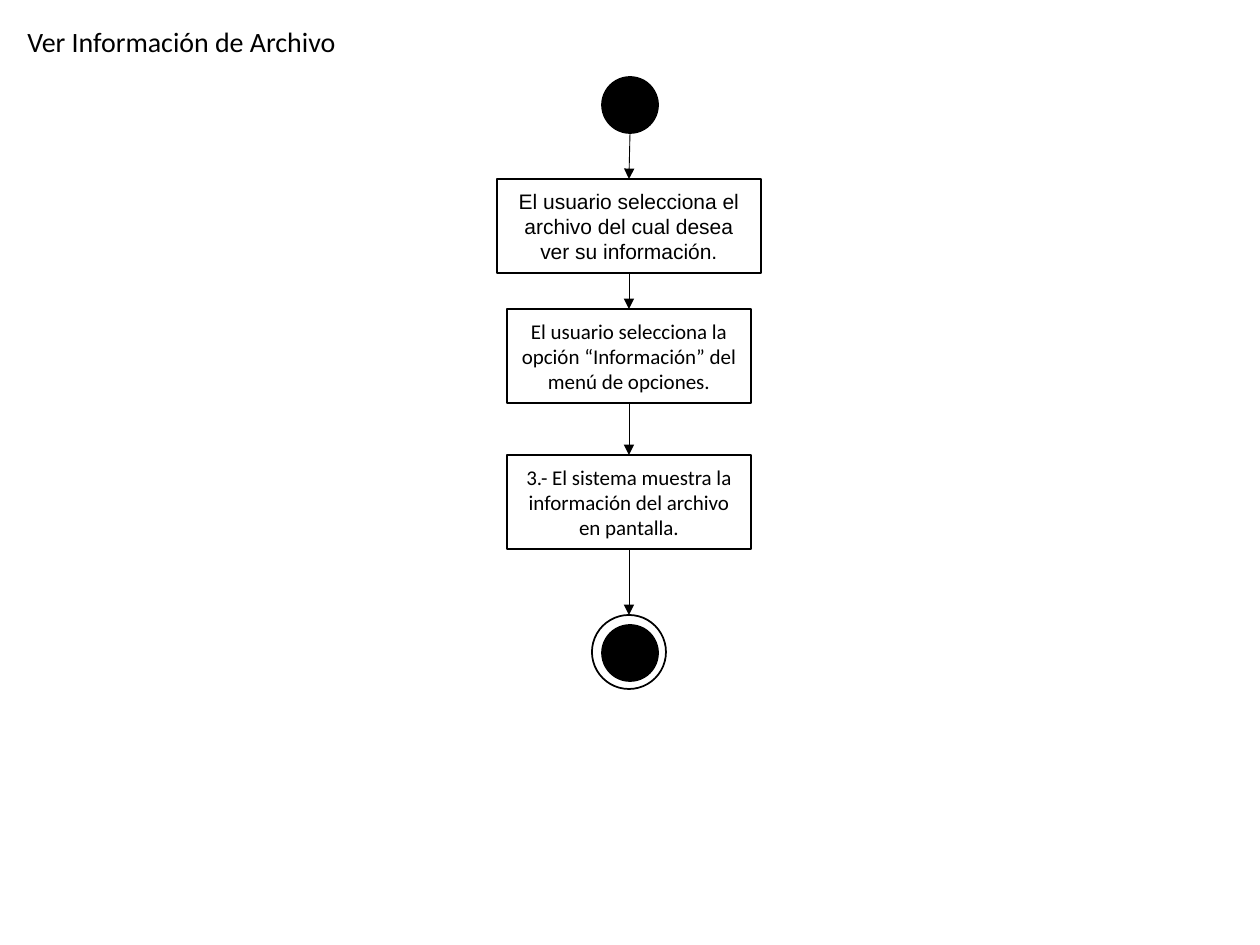
import pptx
import pptx.util
import pptx.dml.color
import pptx.enum.shapes
import pptx.enum.text
import pptx.oxml
import pptx.oxml.ns
from dataclasses import dataclass

SHAPE = pptx.enum.shapes.MSO_SHAPE
ALIGN = pptx.enum.text.PP_ALIGN
ANCHOR = pptx.enum.text.MSO_ANCHOR
FIT = pptx.enum.text.MSO_AUTO_SIZE
SCALE = 914400 / 126


@dataclass
class Theme:
    ink: str = "000000"
    paper: str = "FFFFFF"
    font: str = "Calibri"
    head: int = 16
    body: int = 12
    edge: float = 1
    link: float = 0.5


def emu(*px):
    return [pptx.util.Emu(round(n * SCALE)) for n in px]


def rgb(code):
    return pptx.dml.color.RGBColor.from_string(code)


def dress(item, style):
    for name, value in style.items():
        setattr(item, name, value)


def node(tag, extra=""):
    return pptx.oxml.parse_xml(
        f'<a:{tag} {pptx.oxml.ns.nsdecls("a")} {extra}/>')


class Flow:
    def __init__(self, slide, theme):
        self.slide = slide
        self.theme = theme

    def stroke(self, item, width):
        item.line.color.rgb = rgb(self.theme.ink)
        item.line.width = pptx.util.Pt(width)

    def label(self, shape, text, size, font, align):
        para = shape.text_frame.paragraphs[0]
        para.alignment = align
        run = para.add_run()
        run.text = text
        dress(run.font, {"name": font, "size": pptx.util.Pt(size)})
        run.font.color.rgb = rgb(self.theme.ink)

    def shape(self, kind, mid, top, width, height, fill=None):
        """Draw a shape centred on mid; without a fill it is hollow."""
        item = self.slide.shapes.add_shape(
            kind, *emu(mid - width // 2, top, width, height))
        item.shadow.inherit = False
        if fill:
            item.fill.solid()
            item.fill.fore_color.rgb = rgb(fill)
        else:
            item.fill.background()
        self.stroke(item, self.theme.edge)
        return item

    def disc(self, mid, top, size, fill=None):
        return self.shape(SHAPE.OVAL, mid, top, size, size, fill)

    def step(self, mid, top, width, height, text, font):
        box = self.shape(SHAPE.RECTANGLE, mid, top, width, height,
                         self.theme.paper)
        dress(box.text_frame, {"word_wrap": True,
                               "vertical_anchor": ANCHOR.MIDDLE})
        self.label(box, text, self.theme.body, font, ALIGN.CENTER)
        return box

    def title(self, left, top, width, height, text):
        box = self.slide.shapes.add_textbox(*emu(left, top, width, height))
        dress(box.text_frame, {"word_wrap": False,
                               "auto_size": FIT.SHAPE_TO_FIT_TEXT})
        self.label(box, text, self.theme.head, self.theme.font, ALIGN.LEFT)

    def arrow(self, start, end):
        """Point from the bottom of one shape to the top of the next."""
        line = self.slide.shapes.add_connector(
            pptx.enum.shapes.MSO_CONNECTOR.STRAIGHT,
            start.left + start.width // 2, start.top + start.height,
            end.left + end.width // 2, end.top)
        if start.auto_shape_type == SHAPE.RECTANGLE:
            line.begin_connect(start, 2)
        line.end_connect(end, 0)
        self.stroke(line, self.theme.link)
        props = line.element.spPr
        props.find(pptx.oxml.ns.qn("a:ln")).append(
            node("tailEnd", 'type="triangle"'))
        props.append(node("effectLst"))


def main():
    deck = pptx.Presentation()
    deck.slide_width, deck.slide_height = emu(1260, 945)
    theme = Theme()
    flow = Flow(deck.slides.add_slide(deck.slide_layouts[6]), theme)
    axis, tall, dot = 629, 94, 56
    steps = [
        (179, 264, "Arial", "El usuario selecciona el archivo del cual "
                            "desea ver su información."),
        (309, 244, theme.font, "El usuario selecciona la opción "
                               "“Información” del menú de opciones."),
        (455, 244, theme.font, "3.- El sistema muestra la información "
                               "del archivo en pantalla."),
    ]

    flow.title(15, 18, 338, 47, "Ver Información de Archivo")
    chain = [flow.disc(axis + 1, 77, dot, theme.ink)]
    for top, width, font, text in steps:
        chain.append(flow.step(axis, top, width, tall, text, font))
    flow.disc(axis + 1, 625, dot, theme.ink)
    chain.append(flow.disc(axis, 615, 74))
    for start, end in zip(chain, chain[1:]):
        flow.arrow(start, end)
    deck.save("out.pptx")


if __name__ == "__main__":
    main()
